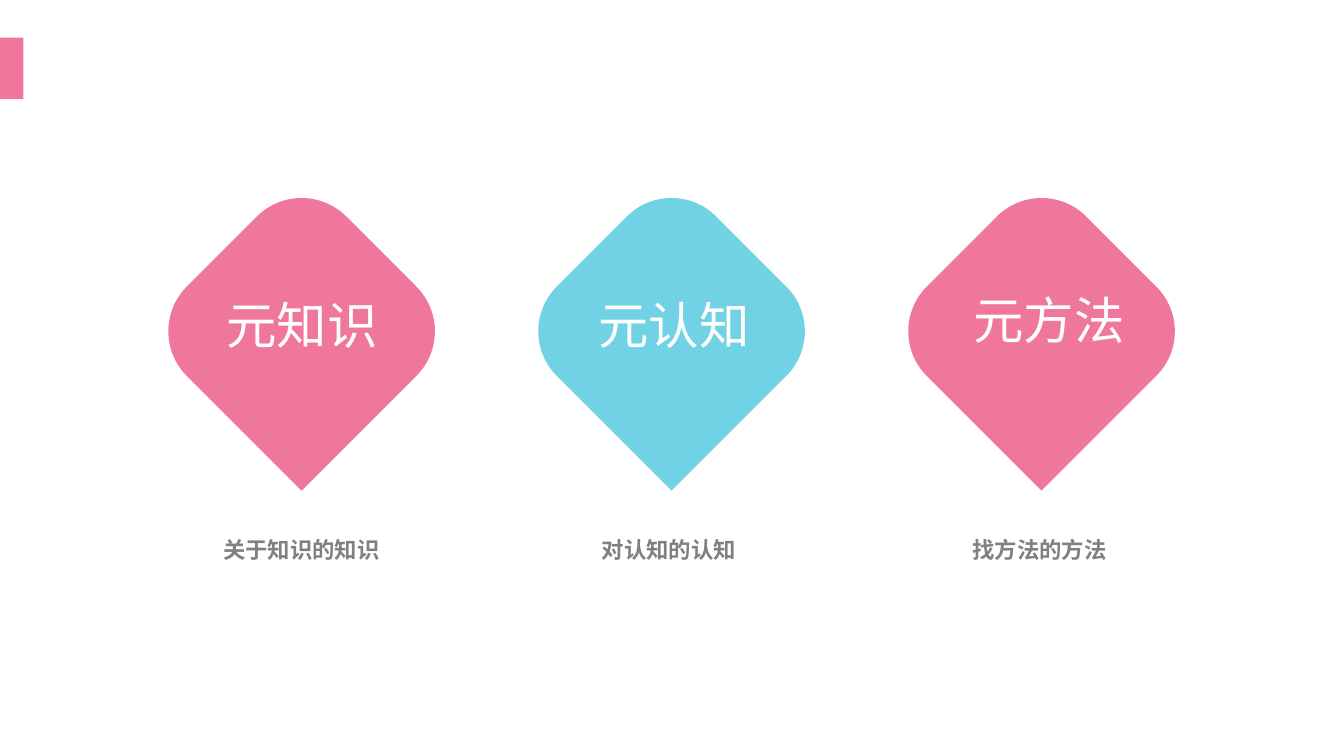
import math
import pptx
import pptx.dml.color
import pptx.enum.shapes
import pptx.enum.text
import pptx.oxml
import pptx.oxml.ns
import pptx.util

Pt = pptx.util.Pt
HUES = {"pink": "F0779C", "blue": "72D2E5", "white": "FFFFFF", "gray": "808080"}


class Deck:
    font = "Noto Sans CJK SC"
    inset = 3.6

    def __init__(self, slide):
        self.slide = slide

    def color(self, name):
        return pptx.dml.color.RGBColor.from_string(HUES[name])

    def paint(self, shape, hue):
        shape.shadow.inherit = False
        shape.fill.solid()
        shape.fill.fore_color.rgb = self.color(hue)
        shape.line.fill.background()

    def rect(self, x, y, w, h, hue):
        kind = pptx.enum.shapes.MSO_SHAPE.RECTANGLE
        shape = self.slide.shapes.add_shape(kind, Pt(x), Pt(y), Pt(w), Pt(h))
        self.paint(shape, hue)

    def arc(self, x, y, radius, start):
        pull = radius * 4 / 3 * math.tan(math.pi / 16)
        nodes = []
        for turn in (0, 45, 90):
            angle = math.radians(start + turn)
            cos, sin = math.cos(angle), math.sin(angle)
            for side in (-1, 0, 1):
                nodes.append((Pt(x + radius * cos - side * pull * sin), Pt(y + radius * sin + side * pull * cos)))
        return nodes[1:-1]

    def bend(self, shape):
        qn = pptx.oxml.ns.qn
        lines = list(shape._element.iter(qn("a:lnTo")))
        for first in range(0, len(lines), 7):
            for i in (first, first + 3):
                curve = pptx.oxml.parse_xml(f'<a:cubicBezTo {pptx.oxml.ns.nsdecls("a")}/>')
                lines[i].addprevious(curve)
                for line in lines[i:i + 3]:
                    curve.append(line[0])
                    line.getparent().remove(line)

    def drop(self, mid, hue, top=106.1, reach=37.6, radius=33.8):
        peak = top + radius
        side = peak + reach
        tip = side + reach + radius * math.sqrt(2)
        nodes = self.arc(mid - reach, side, radius, 135)
        nodes += self.arc(mid, peak, radius, 225)
        nodes += self.arc(mid + reach, side, radius, 315)
        nodes.append((Pt(mid), Pt(tip)))
        form = self.slide.shapes.build_freeform(*nodes[0])
        form.add_line_segments(nodes[1:], close=False)
        form.add_line_segments([], close=True)
        shape = form.convert_to_shape()
        self.bend(shape)
        self.paint(shape, hue)

    def text(self, x, y, w, h, words, size, hue, bold=False):
        box = self.slide.shapes.add_textbox(Pt(x), Pt(y), Pt(w), Pt(h))
        frame = box.text_frame
        frame.word_wrap = False
        frame.auto_size = pptx.enum.text.MSO_AUTO_SIZE.SHAPE_TO_FIT_TEXT
        frame.margin_left = frame.margin_right = Pt(self.inset)
        frame.margin_top = frame.margin_bottom = Pt(self.inset)
        run = frame.paragraphs[0].add_run()
        run.text = words
        font = run.font
        font.name = self.font
        font.size = Pt(size)
        font.bold = bold
        font.color.rgb = self.color(hue)
        east = pptx.oxml.parse_xml(f'<a:ea {pptx.oxml.ns.nsdecls("a")} typeface="{self.font}"/>')
        font._element.find(pptx.oxml.ns.qn("a:latin")).addnext(east)


def main():
    show = pptx.Presentation()
    show.slide_width, show.slide_height = Pt(720), Pt(405)
    deck = Deck(show.slides.add_slide(show.slide_layouts[6]))
    deck.rect(0, 20.2, 12.6, 32.9, "pink")
    items = (
        ("pink", "元知识", 117.8, 154.2, "关于知识的知识", 115.9),
        ("blue", "元认知", 317, 154.2, "对认知的认知", 318.8),
        ("pink", "元方法", 517.9, 151.2, "找方法的方法", 517.4),
    )
    for i, (hue, *rest) in enumerate(items):
        deck.drop(161.6 + 198.2 * i, hue)
    for hue, title, x, y, *rest in items:
        deck.text(x, y, 89, 45.4, title, 27, "white")
    for *rest, note, x in items:
        deck.text(x, 283.7, 12 * len(note) + 2 * deck.inset, 24.5, note, 12, "gray", True)
    show.save("out.pptx")


if __name__ == "__main__":
    main()
